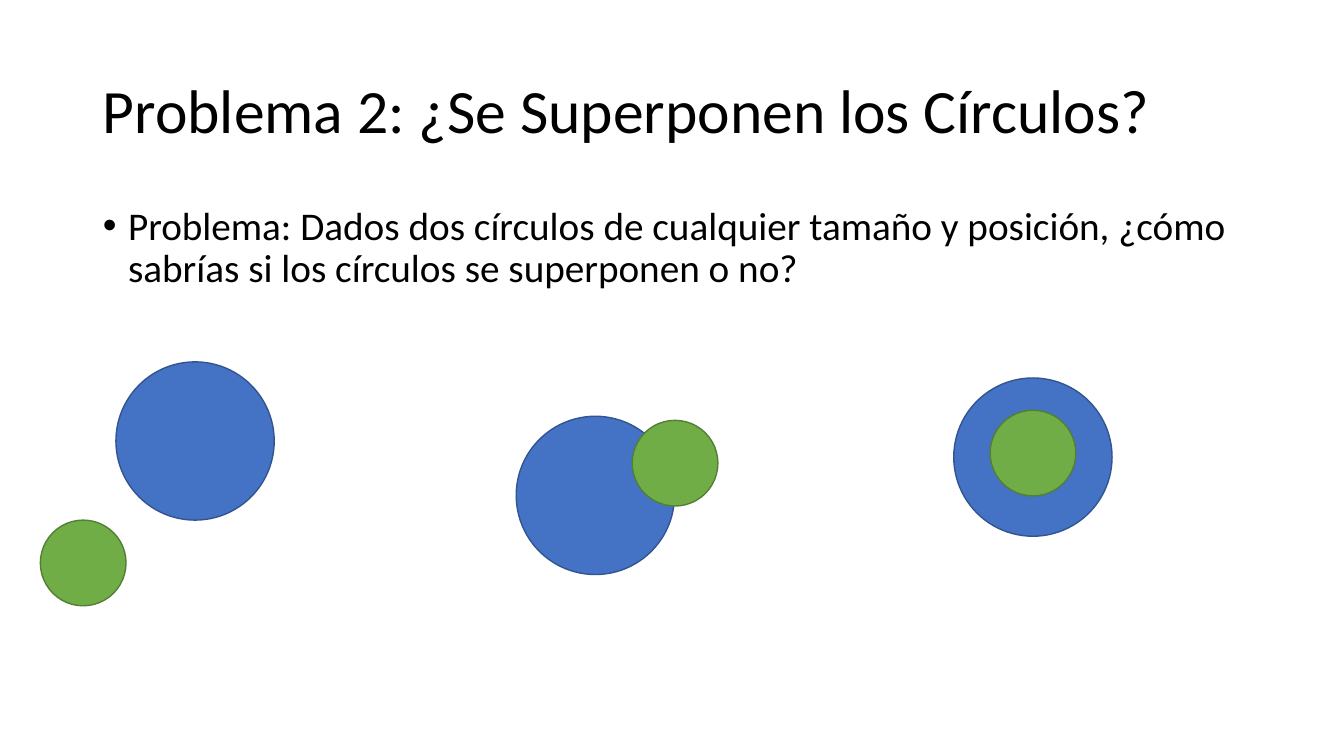
from pptx import Presentation
from pptx.dml.color import RGBColor
from pptx.enum.shapes import MSO_SHAPE
from pptx.enum.text import MSO_ANCHOR, PP_ALIGN
from pptx.util import Inches, Pt

COLORS = {
    "text": "000000",
    "blue": "4472C4",
    "navy": "325490",
    "green": "70AD47",
    "moss": "527F34",
}


def color(name):
    return RGBColor.from_string(COLORS[name])


def fill_text(holder, box, text, size, anchor):
    holder.left, holder.top, holder.width, holder.height = map(Inches, box)
    frame = holder.text_frame
    frame.text = text
    frame.word_wrap = True
    frame.vertical_anchor = anchor
    line = frame.paragraphs[0]
    layout = {"alignment": PP_ALIGN.LEFT, "line_spacing": 0.9, "space_before": Pt(0)}
    for key, value in layout.items():
        setattr(line, key, value)
    for key, value in {"name": "Calibri", "size": Pt(size)}.items():
        setattr(line.font, key, value)
    line.font.color.rgb = color("text")
    return line


deck = Presentation()
deck.slide_width = Inches(13.33)
deck.slide_height = Inches(7.5)
slide = deck.slides.add_slide(deck.slide_layouts[1])

fill_text(
    slide.shapes.title, (0.92, 0.4, 11.5, 1.45),
    "Problema 2: ¿Se Superponen los Círculos?", 44, MSO_ANCHOR.MIDDLE,
)
item = fill_text(
    slide.placeholders[1], (0.92, 2, 11.5, 4.76),
    "Problema: Dados dos círculos de cualquier tamaño y posición, "
    "¿cómo sabrías si los círculos se superponen o no?", 28, MSO_ANCHOR.TOP,
)
props = item._p.get_or_add_pPr()
for key, value in {"marL": Inches(0.25), "indent": Inches(-0.25)}.items():
    props.set(key, str(value))

styles = {"large": (1.57, "blue", "navy"), "small": (0.85, "green", "moss")}
pairs = [
    {"large": (1.15, 3.59), "small": (0.4, 5.16)},
    {"large": (5.12, 4.13), "small": (6.27, 4.17)},
    {"large": (9.46, 3.75), "small": (9.82, 4.07)},
]
for pair in pairs:
    for kind, (left, top) in pair.items():
        size, fill, edge = styles[kind]
        circle = slide.shapes.add_shape(
            MSO_SHAPE.OVAL, Inches(left), Inches(top), Inches(size), Inches(size)
        )
        circle.shadow.inherit = False
        circle.fill.solid()
        circle.fill.fore_color.rgb = color(fill)
        circle.line.color.rgb = color(edge)
        circle.line.width = Pt(1)

deck.save("out.pptx")
